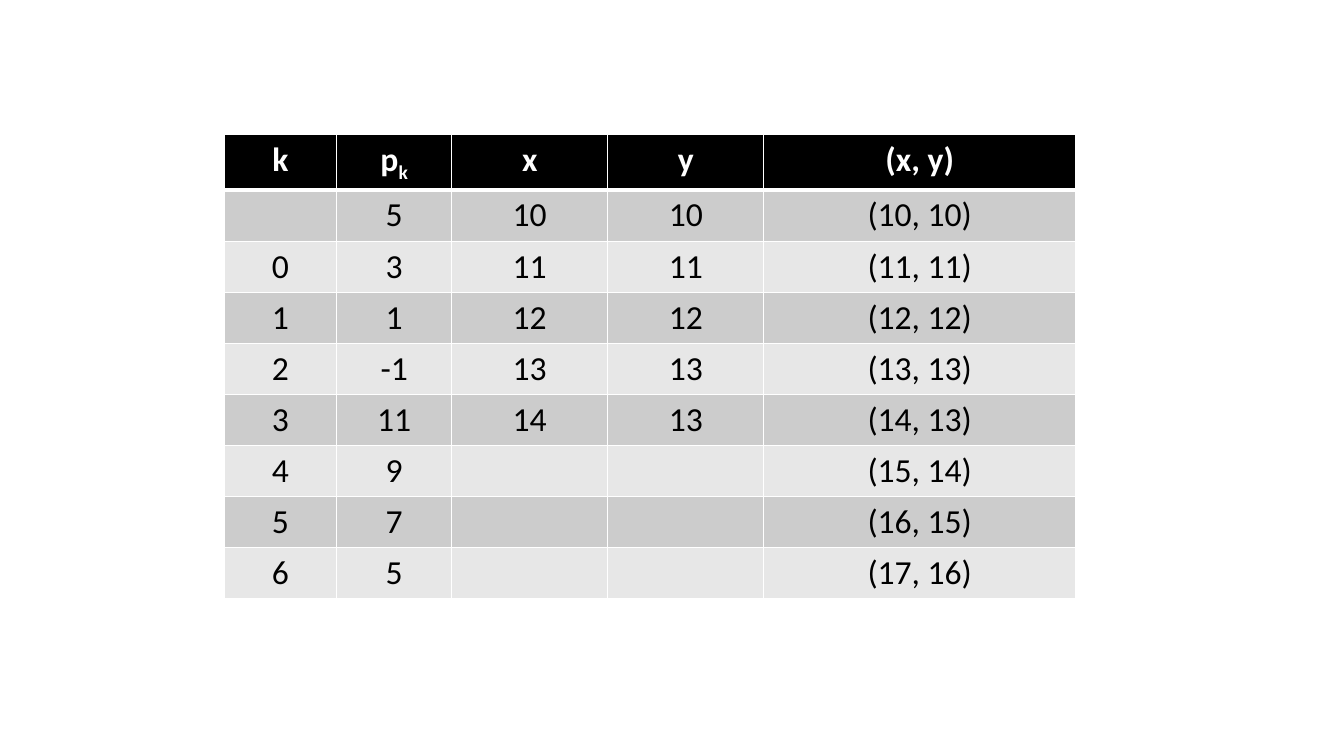
from lxml.etree import SubElement
from pptx import Presentation
from pptx.dml.color import RGBColor
from pptx.enum.text import PP_ALIGN
from pptx.oxml.ns import qn
from pptx.util import Pt

HUES = {"head": "000000", "dark": "CCCCCC", "light": "E7E7E7",
        "white": "FFFFFF", "ink": "000000"}
WIDTHS = [80.5, 82.2, 111.5, 111.5, 222.7]
HEIGHT = 36
ROWS = [
    ["k", "p", "x", "y", "(x, y)"],
    ["", "5", "10", "10", "(10, 10)"],
    ["0", "3", "11", "11", "(11, 11)"],
    ["1", "1", "12", "12", "(12, 12)"],
    ["2", "-1", "13", "13", "(13, 13)"],
    ["3", "11", "14", "13", "(14, 13)"],
    ["4", "9", "", "", "(15, 14)"],
    ["5", "7", "", "", "(16, 15)"],
    ["6", "5", "", "", "(17, 16)"],
]


def paint(fill, hue):
    fill.solid()
    fill.fore_color.rgb = RGBColor.from_string(HUES[hue])


def write(para, text, hue="ink", bold=False, base=0):
    para.alignment = PP_ALIGN.CENTER
    run = para.add_run()
    run.text = text
    font = run.font
    font.name = "Calibri"
    font.size = Pt(24)
    font.bold = bold
    font.color.rgb = RGBColor.from_string(HUES[hue])
    if base:
        font._element.set("baseline", str(base * 1000))


def edge(cell, top=1, base=1):
    props = cell._tc.get_or_add_tcPr()
    sides = {"L": 1, "R": 1, "T": top, "B": base}
    for spot, (side, width) in enumerate(sides.items()):
        line = SubElement(props, qn(f"a:ln{side}"), w=str(Pt(width)))
        fill = SubElement(line, qn("a:solidFill"))
        SubElement(fill, qn("a:srgbClr"), val=HUES["white"])
        props.insert(spot, line)


def grid(slide, left, top):
    frame = slide.shapes.add_table(
        len(ROWS), len(WIDTHS), Pt(left), Pt(top),
        Pt(sum(WIDTHS)), Pt(HEIGHT * len(ROWS)))
    table = frame.table
    for col, width in zip(table.columns, WIDTHS):
        col.width = Pt(width)
    for r, row in enumerate(ROWS):
        table.rows[r].height = Pt(HEIGHT)
        head = r == 0
        band = "head" if head else "dark" if r % 2 else "light"
        for c, text in enumerate(row):
            cell = table.cell(r, c)
            paint(cell.fill, band)
            edge(cell, top=3 if r == 1 else 1, base=3 if head else 1)
            if text:
                write(cell.text_frame.paragraphs[0], text,
                      hue="white" if head else "ink", bold=head)
    return table


def main():
    deck = Presentation()
    deck.slide_width = Pt(960)
    deck.slide_height = Pt(540)
    slide = deck.slides.add_slide(deck.slide_layouts[6])
    table = grid(slide, 160, 96)
    write(table.cell(0, 1).text_frame.paragraphs[0], "k",
          hue="white", bold=True, base=-25)
    deck.save("out.pptx")


if __name__ == "__main__":
    main()
